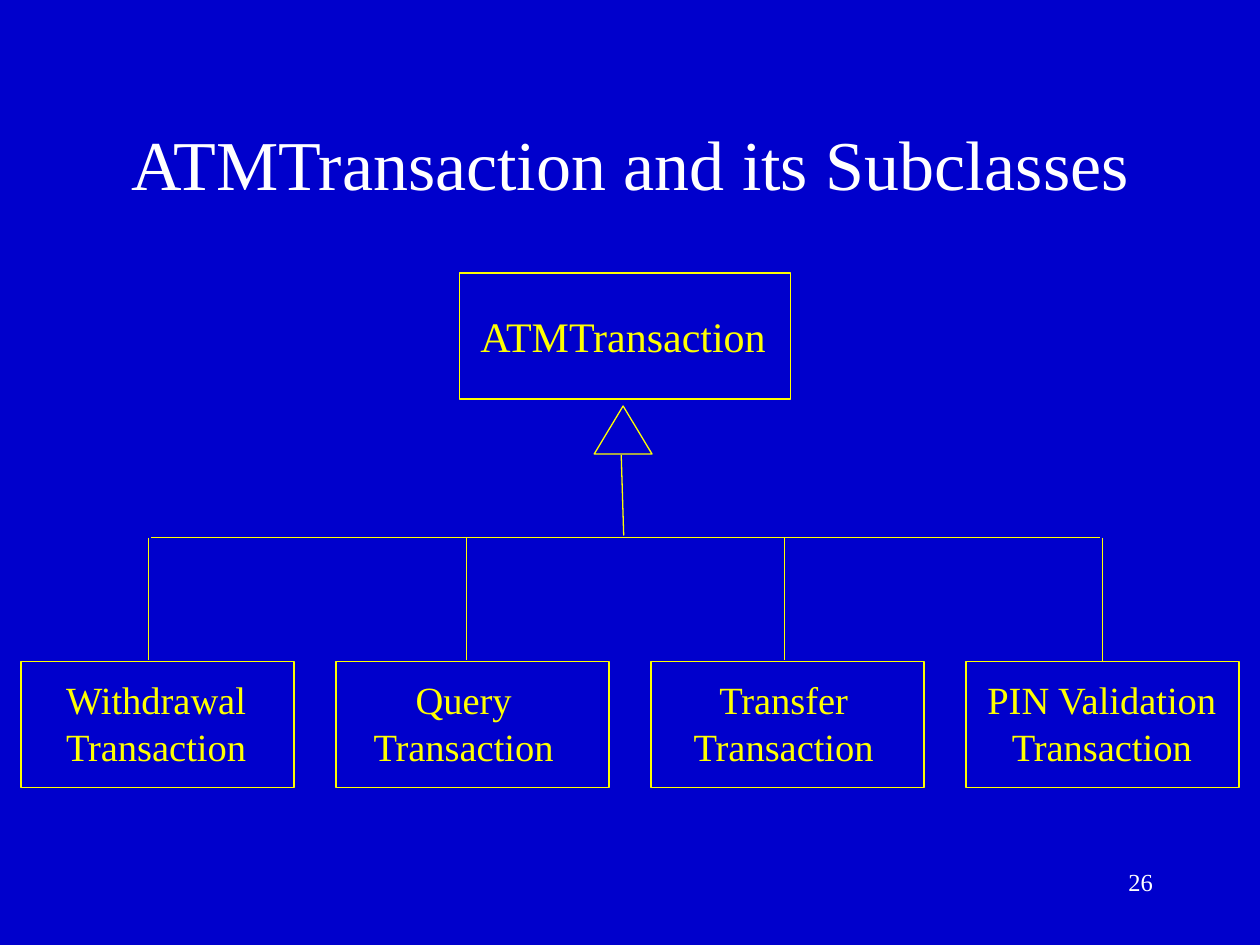
from pptx import Presentation
from pptx.dml.color import RGBColor
from pptx.enum.shapes import MSO_CONNECTOR, MSO_SHAPE
from pptx.enum.text import MSO_ANCHOR, MSO_AUTO_SIZE, PP_ALIGN
from pptx.oxml.ns import qn
from pptx.util import Pt

STRAIGHT = MSO_CONNECTOR.STRAIGHT
RECT, TRIANGLE = MSO_SHAPE.RECTANGLE, MSO_SHAPE.ISOSCELES_TRIANGLE
CENTER, RIGHT = PP_ALIGN.CENTER, PP_ALIGN.RIGHT
TOP, MIDDLE = MSO_ANCHOR.TOP, MSO_ANCHOR.MIDDLE
NO_FIT, GROW = MSO_AUTO_SIZE.NONE, MSO_AUTO_SIZE.SHAPE_TO_FIT_TEXT

BLUE, YELLOW, WHITE = "0000CC", "FFFF00", "FFFFFF"
FONT = "Times New Roman"
SUBCLASSES = [
    ("Withdrawal", 30.2, 118),
    ("Query", 205.9, 118),
    ("Transfer", 388.8, 118),
    ("PIN Validation", 555.8, 147.6),
]
BOX_LEFT, BOX_STEP, BOX_TOP = 12, 180, 378
DROP_LEFT, DROP_STEP, BUS_Y = 85, 181.67, 307.3


def rgb(value):
    """Turn a hex string into a colour."""
    return RGBColor.from_string(value)


def format_line(line):
    """Apply the diagram's thin yellow line."""
    line.color.rgb = rgb(YELLOW)
    line.width = Pt(0.75)


def fill_text(tf, text, size, color, align=CENTER, **frame):
    """Write text with one paragraph per line and format it."""
    tf.text = text
    for name, value in frame.items():
        setattr(tf, name, value)
    for p in tf.paragraphs:
        p.alignment = align
        for r in p.runs:
            for name, value in {"name": FONT, "size": Pt(size)}.items():
                setattr(r.font, name, value)
            r.font.color.rgb = rgb(color)


def add_title(s, text):
    """Place and format the title placeholder."""
    sp = s.shapes.title
    place = {"left": 54, "top": 48, "width": 612, "height": 90}
    for name, value in place.items():
        setattr(sp, name, Pt(value))
    fill_text(sp.text_frame, text, 40, WHITE, word_wrap=True,
              vertical_anchor=MIDDLE, auto_size=NO_FIT)


def add_outline(s, kind, *place):
    """Add an unfilled shape with a yellow outline."""
    sp = s.shapes.add_shape(kind, *map(Pt, place))
    sp.shadow.inherit = False
    sp.fill.background()
    format_line(sp.line)
    return sp


def add_line(s, *ends):
    """Add a straight yellow connector."""
    cxn = s.shapes.add_connector(STRAIGHT, *map(Pt, ends))
    format_line(cxn.line)
    props = cxn._element.spPr
    props.append(props.makeelement(qn("a:effectLst"), {}))
    return cxn


def add_label(s, text, place, size, color=YELLOW, align=CENTER, wrap=False):
    """Add a text box, growing with its text unless it wraps."""
    sp = s.shapes.add_textbox(*map(Pt, place))
    fill_text(sp.text_frame, text, size, color, align, word_wrap=wrap,
              vertical_anchor=TOP, auto_size=NO_FIT if wrap else GROW)


def add_superclass(s):
    """Draw the parent class, its inheritance arrow and the bus line."""
    add_outline(s, RECT, 262.8, 156, 189, 72)
    add_label(s, "ATMTransaction", (265.7, 174.2, 180.7, 36), 24)
    add_outline(s, TRIANGLE, 339.6, 232, 33, 27.4)
    add_line(s, 355, 260, 356.4, 306)
    add_line(s, 86.4, BUS_Y, 628.6, BUS_Y)


def add_subclasses(s):
    """Draw the row of subclasses hanging from the bus line."""
    for i, (name, left, width) in enumerate(SUBCLASSES):
        x = DROP_LEFT + i * DROP_STEP
        box = add_outline(s, RECT, BOX_LEFT + i * BOX_STEP, BOX_TOP, 156, 72)
        drop = add_line(s, x, BUS_Y, x, BOX_TOP - 1)
        add_label(s, f"{name}\nTransaction", (left, 383, width, 60.5), 22)
    drop.end_connect(box, 0)


def main():
    """Build and save the slide."""
    prs = Presentation()
    prs.slide_width, prs.slide_height = Pt(720), Pt(540)
    s = prs.slides.add_slide(prs.slide_layouts[5])
    s.background.fill.solid()
    s.background.fill.fore_color.rgb = rgb(BLUE)
    add_title(s, "ATMTransaction and its Subclasses")
    add_superclass(s)
    add_subclasses(s)
    add_label(s, "26", (516, 492, 150, 36), 14, WHITE, RIGHT, wrap=True)
    prs.save("out.pptx")


if __name__ == "__main__":
    main()
